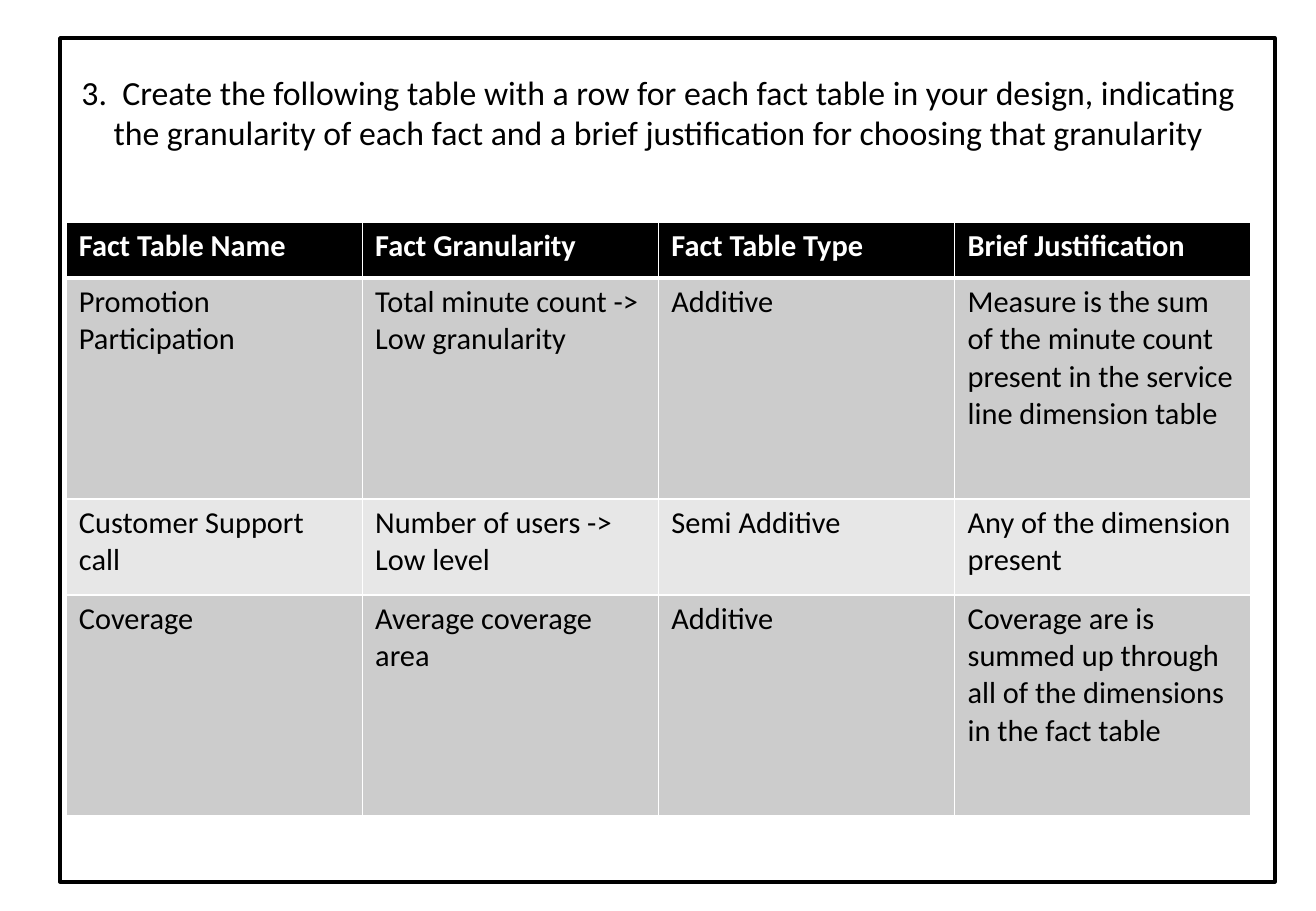
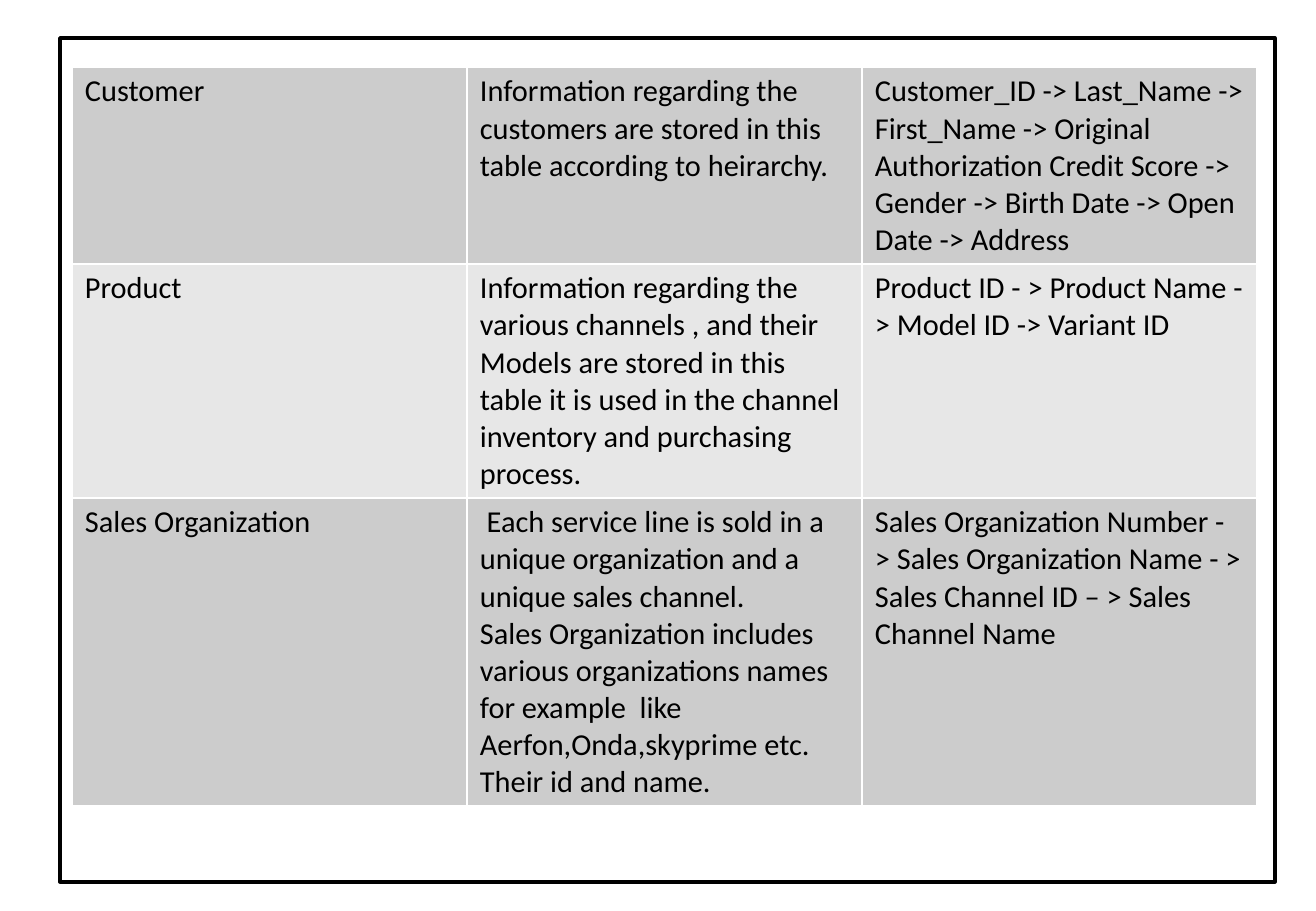
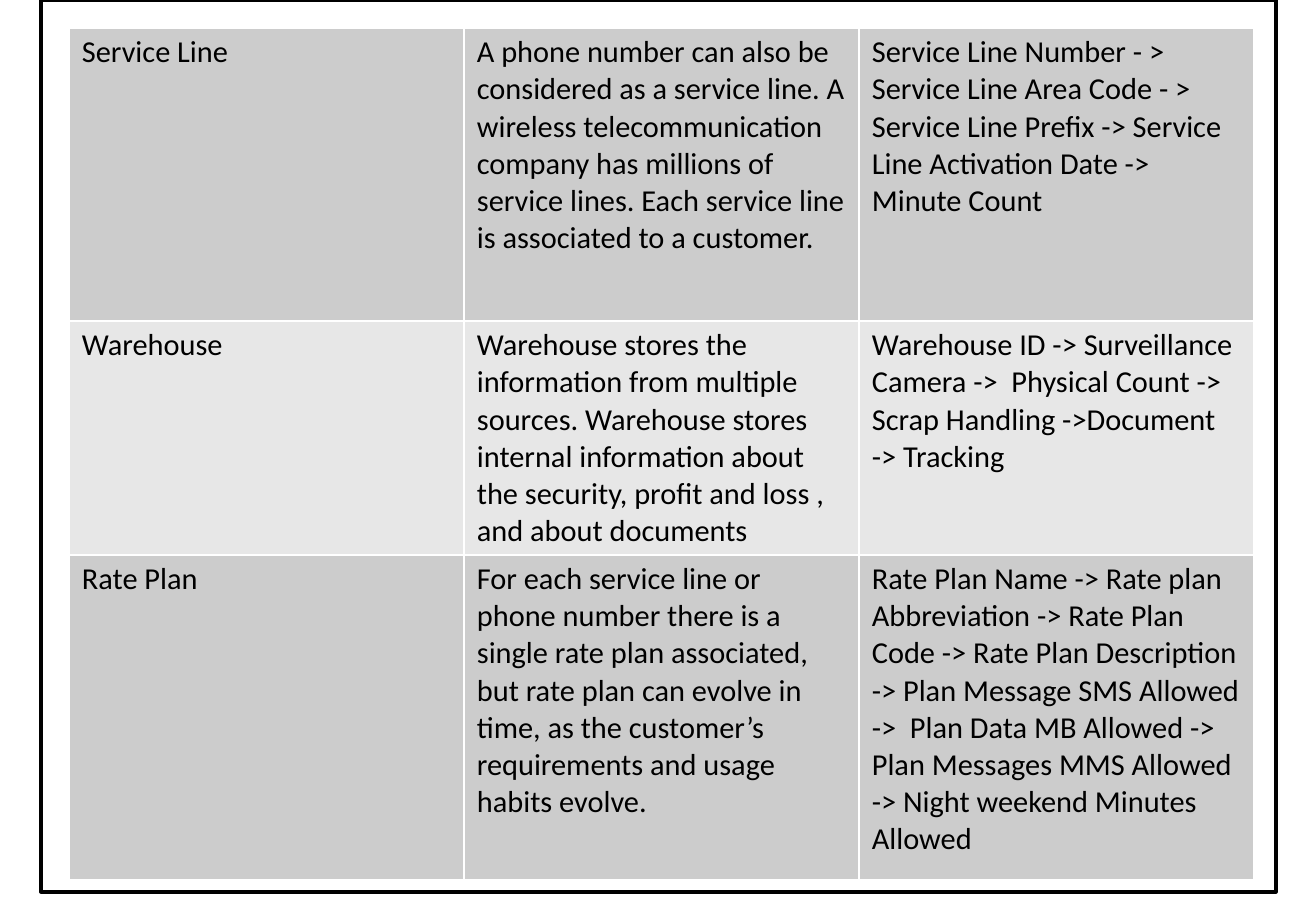
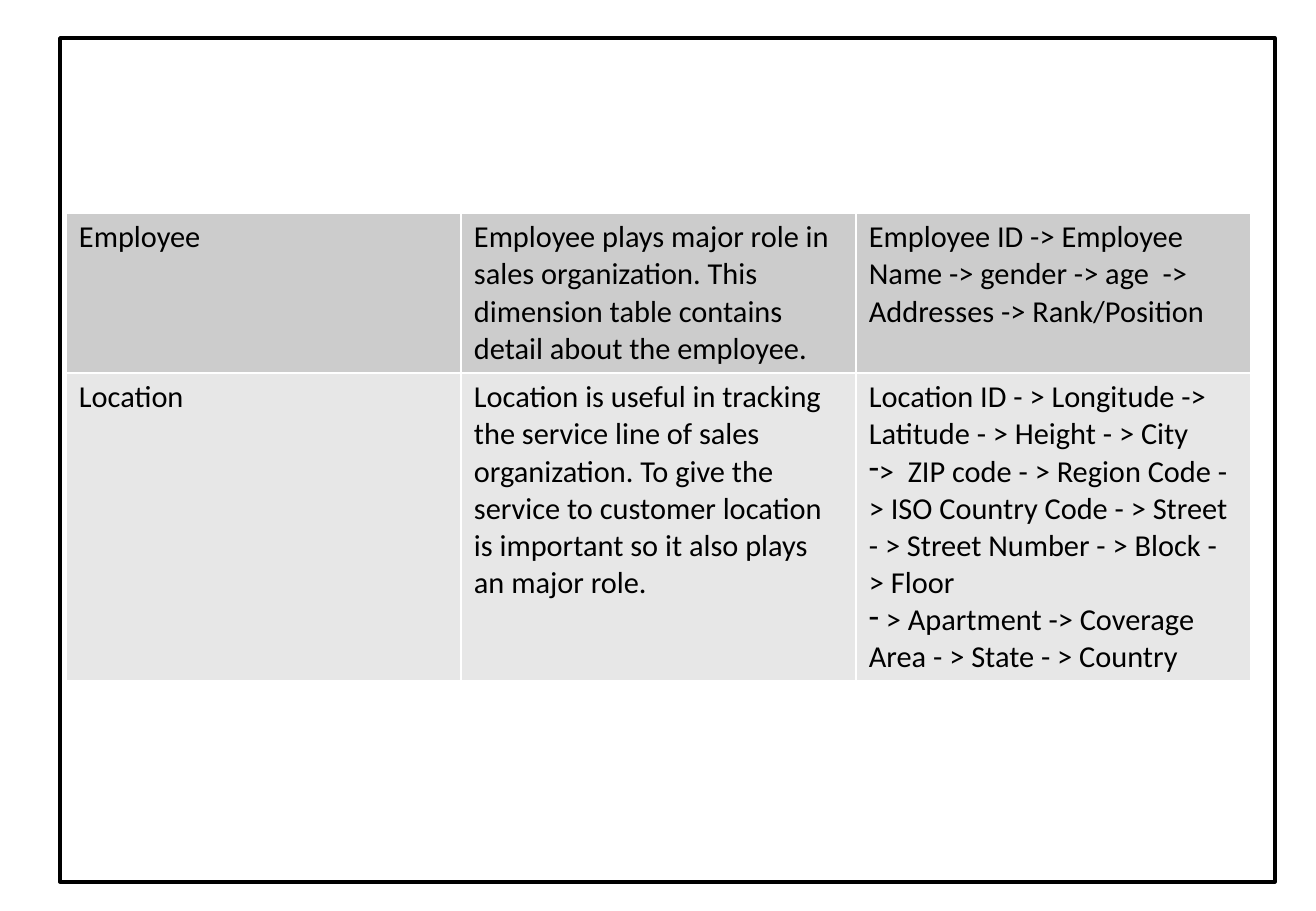
from lxml.etree import SubElement
from pptx import Presentation
from pptx.dml.color import RGBColor
from pptx.enum.shapes import MSO_SHAPE as Shape
from pptx.enum.text import MSO_ANCHOR as Anchor, PP_ALIGN as Align
from pptx.oxml.ns import qn
from pptx.util import Pt

# Shared look
SCALE = 7526  # EMU in one px
FONT = "Calibri"
BLACK, WHITE = "000000", "FFFFFF"
BANDS = ["CCCCCC", "E7E7E7"]
FRAME = (60, 38, 1215, 844)
WIDTH = 1185  # of titles and tables
DASH = "\t"  # marks a paragraph with a dash bullet

FACTS = [
    ["Fact Table Name", "Fact Granularity", "Fact Table Type",
     "Brief Justification"],
    ["Promotion Participation", "Total minute count -> Low granularity",
     "Additive",
     "Measure is the sum of the minute count present in the service line "
     "dimension table"],
    ["Customer Support call", "Number of users -> Low level",
     "Semi Additive", "Any of the dimension present"],
    ["Coverage", "Average coverage area", "Additive",
     "Coverage are is summed up through all of the dimensions in the fact "
     "table"],
]
SALES = [
    ["Customer",
     "Information regarding the customers are stored in this table according "
     "to heirarchy.",
     "Customer_ID -> Last_Name -> First_Name -> Original Authorization Credit "
     "Score -> Gender -> Birth Date -> Open Date -> Address"],
    ["Product",
     "Information regarding the various channels , and their\n"
     "Models are stored in this table it is used in the channel inventory and "
     "purchasing process.",
     "Product ID - > Product Name - > Model ID -> Variant ID"],
    ["Sales Organization",
     " Each service line is sold in a unique organization and a unique sales "
     "channel.\n"
     "Sales Organization includes various organizations names for example  "
     "like Aerfon,Onda,skyprime etc. Their id and name.",
     "Sales Organization Number - > Sales Organization Name - > Sales Channel "
     "ID – > Sales Channel Name"],
]
LINES = [
    ["Service Line",
     "A phone number can also be considered as a service line. A wireless "
     "telecommunication company has millions of service lines. Each service "
     "line is associated to a customer.",
     "Service Line Number - > Service Line Area Code - > Service Line Prefix "
     "-> Service Line Activation Date -> Minute Count"],
    ["Warehouse",
     "Warehouse stores the information from multiple sources. Warehouse "
     "stores internal information about the security, profit and loss , and "
     "about documents",
     "Warehouse ID -> Surveillance Camera ->  Physical Count -> Scrap "
     "Handling ->Document -> Tracking"],
    ["Rate Plan",
     "For each service line or phone number there is a single rate plan "
     "associated, but rate plan can evolve in time, as the customer’s "
     "requirements and usage habits evolve.",
     "Rate Plan Name -> Rate plan Abbreviation -> Rate Plan Code -> Rate Plan "
     "Description -> Plan Message SMS Allowed ->  Plan Data MB Allowed -> "
     "Plan Messages MMS Allowed -> Night weekend Minutes Allowed"],
]
PLACES = [
    ["Employee",
     "Employee plays major role in sales organization. This dimension table "
     "contains detail about the employee.",
     "Employee ID -> Employee Name -> gender -> age  ->  Addresses -> "
     "Rank/Position"],
    ["Location",
     "Location is useful in tracking the service line of sales organization. "
     "To give the service to customer location is important so it also plays "
     "an major role.",
     "Location ID - > Longitude -> Latitude - > Height - > City\n"
     + DASH + ">  ZIP code - > Region Code - > ISO Country Code - > Street - > "
     "Street Number - > Block - > Floor\n"
     + DASH + " > Apartment -> Coverage Area - > State - > Country"],
]


def px(n):
    return round(n * SCALE)


def color(code):
    return RGBColor.from_string(code)


def style(par, size, code, bold=False):
    for run in par.runs:
        font = run.font
        font.name, font.size, font.bold = FONT, Pt(size), bold
        font.color.rgb = color(code)


def bullet(par):
    props = par._p.get_or_add_pPr()
    props.set("marL", "0")
    props.set("indent", "0")
    SubElement(props, qn("a:buFontTx"))
    SubElement(props, qn("a:buChar"), char="-")


def border(cell, **sides):
    props = cell._tc.get_or_add_tcPr()
    for side in "LRTB":
        line = SubElement(props, qn("a:ln" + side),
                          w=str(Pt(sides.get(side, 1))))
        fill = SubElement(line, qn("a:solidFill"))
        SubElement(fill, qn("a:srgbClr"), val=WHITE)


def add_frame(slide, box):
    rect = slide.shapes.add_shape(Shape.RECTANGLE, *map(px, box))
    rect.shadow.inherit = False
    rect.fill.solid()
    rect.fill.fore_color.rgb = color(WHITE)
    rect.line.color.rgb = color(BLACK)
    rect.line.width = Pt(2)


def add_title(slide, text, box):
    frame = slide.shapes.add_textbox(*map(px, box)).text_frame
    frame.word_wrap = True
    frame.vertical_anchor = Anchor.MIDDLE
    frame.text = text
    par = frame.paragraphs[0]
    par.alignment = Align.CENTER
    style(par, 20, BLACK)


def fill_cell(cell, text, fill, ink, bold):
    cell.fill.solid()
    cell.fill.fore_color.rgb = color(fill)
    cell.margin_left = cell.margin_right = px(13)
    cell.margin_top = cell.margin_bottom = px(6)
    frame = cell.text_frame
    frame.text = text.replace(DASH, "")
    for par, part in zip(frame.paragraphs, text.split("\n")):
        style(par, 18, ink, bold)
        if part.startswith(DASH):
            bullet(par)


def add_grid(slide, rows, left, top, heights, head=False):
    count = len(rows[0])
    table = slide.shapes.add_table(
        len(rows), count, px(left), px(top), px(WIDTH), px(sum(heights))).table
    table.first_row = table.horz_banding = False
    for col in table.columns:
        col.width = px(WIDTH / count)
    for i, (row, high) in enumerate(zip(rows, heights)):
        table.rows[i].height = px(high)
        top_row = head and i == 0
        fill = BLACK if top_row else BANDS[(i - head) % 2]
        for j, text in enumerate(row):
            cell = table.cell(i, j)
            border(cell, B=3 if top_row else 1, T=3 if head and i == 1 else 1)
            fill_cell(cell, text, fill, WHITE if top_row else BLACK, top_row)


def main():
    deck = Presentation()
    deck.slide_width, deck.slide_height = px(1316), px(911)

    def add_page(box=FRAME):
        slide = deck.slides.add_slide(deck.slide_layouts[6])
        add_frame(slide, box)
        return slide

    # Fact tables
    page = add_page()
    add_title(page, "3.  Create the following table with a row for each fact "
              "table in your design, indicating the granularity of each fact "
              "and a brief justification for choosing that granularity",
              (66, 36, WIDTH, 152))
    add_grid(page, FACTS, 66, 222, [56, 221, 96, 221], head=True)

    # Dimension tables
    add_grid(add_page(), SALES, 72, 67, [197, 234, 308])
    add_grid(add_page((41, 0, 1235, 892)), LINES, 69, 28, [293, 234, 325])
    add_grid(add_page(), PLACES, 66, 213, [160, 308])

    deck.save("out.pptx")


if __name__ == "__main__":
    main()
